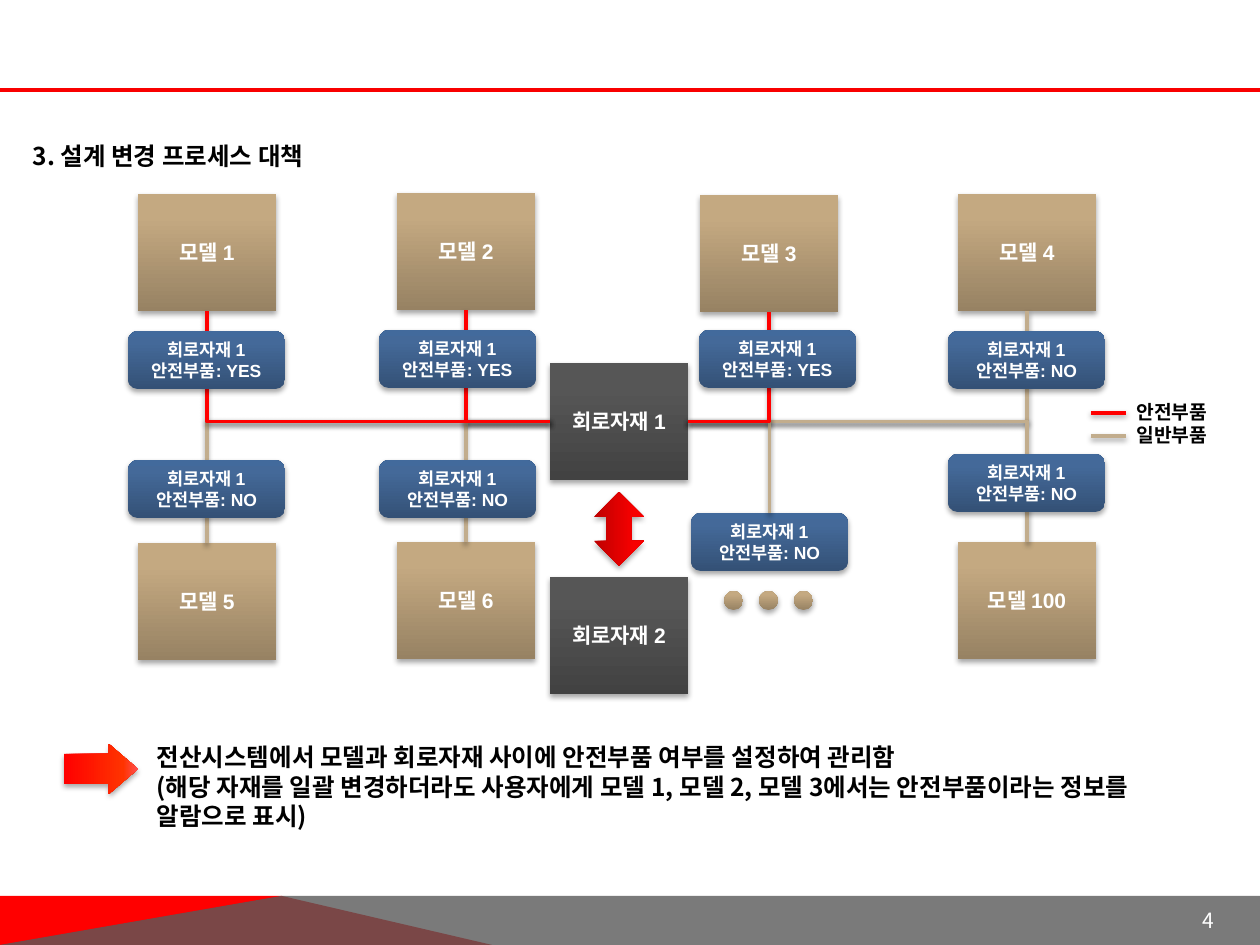
"""Build the design change process slide with its model and circuit material diagram."""
from pptx import Presentation, util as u
from pptx.dml.color import RGBColor
from pptx.enum import shapes, text
from pptx.oxml import ns, parse_xml

SCALE = 914400 / 126
KOREAN, LATIN = "Noto Sans CJK KR", "Arial"
RED = RGBColor(0xFF, 0x00, 0x00)
RULE_RED = RGBColor(0xF9, 0x00, 0x00)
BEIGE = RGBColor(0xC2, 0xAD, 0x8D)
FOOTER_GREY = RGBColor(0x59, 0x59, 0x59)
WHITE = RGBColor(0xFF, 0xFF, 0xFF)
BLACK = RGBColor(0x00, 0x00, 0x00)
TAN_STOPS = (RGBColor(0x97, 0x82, 0x63), RGBColor(0xC4, 0xA9, 0x81), RGBColor(0xC6, 0xAA, 0x80))
GREY_STOPS = (RGBColor(0x42, 0x42, 0x42), RGBColor(0x56, 0x56, 0x56), RGBColor(0x57, 0x57, 0x57))
BLUE_STOPS = (RGBColor(0x34, 0x51, 0x76), RGBColor(0x44, 0x69, 0x99), RGBColor(0x42, 0x6A, 0x9C))
CRIMSON_STOPS = (RGBColor(0xBE, 0x00, 0x00), RGBColor(0xF7, 0x00, 0x00), RGBColor(0xF8, 0x00, 0x00))
ORANGE_STOPS = (RED, RGBColor(0xFF, 0x33, 0x00), RGBColor(0xFF, 0x50, 0x50))
BOX, PILL, DOT = (138, 117), (157, 58), (19, 19)
LEFT, RIGHT, TOP, BOTTOM = 1, 3, 0, 2
MODELS = {
    "모델 1": (138, 194), "모델 2": (397, 193), "모델 3": (700, 195), "모델 4": (958, 194),
    "모델 5": (138, 543), "모델 6": (397, 542), "모델 100": (958, 542),
}
SAFETY_PILLS = [
    (128, 331, "YES"), (379, 330, "YES"), (699, 330, "YES"), (948, 331, "NO"),
    (128, 460, "NO"), (379, 460, "NO"), (948, 454, "NO"),
]


def px(n):
    """Turn a length in px into EMU."""
    return u.Emu(round(n * SCALE))


def set_attrs(obj, formats):
    """Set each named attribute of an object."""
    for name, value in formats.items():
        setattr(obj, name, value)


def place(sp, x, y, w, h):
    """Move and size a shape in px."""
    set_attrs(sp, {"left": px(x), "top": px(y), "width": px(w), "height": px(h)})


def write(sp, lines, size, color, font, bold=True, align=text.PP_ALIGN.LEFT,
          anchor=text.MSO_ANCHOR.TOP):
    """Fill a shape with formatted paragraphs."""
    tf = sp.text_frame
    set_attrs(tf, {"word_wrap": True, "auto_size": text.MSO_AUTO_SIZE.NONE,
                   "vertical_anchor": anchor})
    for i, line in enumerate(lines):
        p = tf.paragraphs[0] if i == 0 else tf.add_paragraph()
        set_attrs(p, {"alignment": align, "space_before": u.Pt(0)})
        r = p.add_run()
        r.text = line
        set_attrs(r.font, {"size": u.Pt(size), "bold": bold, "name": font})
        r.font.color.rgb = color
        r.font._element.append(parse_xml(f'<a:ea {ns.nsdecls("a")} typeface="{KOREAN}"/>'))


def add_shadow(sp, alpha, dist):
    """Give a shape or connector a soft downward shadow."""
    sp._element.spPr.append(parse_xml(
        f'<a:effectLst {ns.nsdecls("a")}><a:outerShdw blurRad="40000" dist="{dist}" '
        f'dir="5400000" rotWithShape="0"><a:srgbClr val="{BLACK}">'
        f'<a:alpha val="{alpha}000"/></a:srgbClr></a:outerShdw></a:effectLst>'))


def add_gradient_shape(slide, kind, x, y, size, stops, angle=270):
    """Add a preset shape with a three-stop gradient and a shadow."""
    sp = slide.shapes.add_shape(kind, px(x), px(y), *map(px, size))
    sp.fill.gradient()
    sp.line.fill.background()
    gs = "".join(f'<a:gs pos="{pos}000"><a:srgbClr val="{color}"/></a:gs>'
                 for pos, color in zip((0, 80, 100), stops))
    spPr = sp._element.spPr
    spPr.replace(spPr.find(ns.qn("a:gradFill")), parse_xml(
        f'<a:gradFill {ns.nsdecls("a")} rotWithShape="1"><a:gsLst>{gs}</a:gsLst>'
        f'<a:lin ang="{angle * 60000}" scaled="0"/></a:gradFill>'))
    add_shadow(sp, 35, 23000)
    return sp


def add_box(slide, x, y, label, stops):
    """Add a labelled square box."""
    sp = add_gradient_shape(slide, shapes.MSO_SHAPE.RECTANGLE, x, y, BOX, stops)
    write(sp, [label], 12, WHITE, LATIN, align=text.PP_ALIGN.CENTER, anchor=text.MSO_ANCHOR.MIDDLE)
    return sp


def add_pill(slide, x, y, answer):
    """Add a rounded label that tells if the material is a safety part."""
    sp = add_gradient_shape(slide, shapes.MSO_SHAPE.ROUNDED_RECTANGLE, x, y, PILL, BLUE_STOPS)
    write(sp, ["회로자재 1", f"안전부품: {answer}"], 10, WHITE, LATIN,
          align=text.PP_ALIGN.CENTER, anchor=text.MSO_ANCHOR.MIDDLE)
    return sp


def add_line(slide, x1, x2, y, color, width=2.0, shadow=True):
    """Add a horizontal line."""
    cx = slide.shapes.add_connector(shapes.MSO_CONNECTOR.STRAIGHT, px(x1), px(y), px(x2), px(y))
    cx.line.color.rgb = color
    cx.line.width = u.Pt(width)
    if shadow:
        add_shadow(cx, 38, 20000)
    else:
        cx._element.spPr.append(parse_xml(f'<a:effectLst {ns.nsdecls("a")}/>'))


def add_elbow(slide, hub, hub_side, target, target_side, color):
    """Join the hub to a target with a one-corner connector."""
    cx = slide.shapes.add_connector(shapes.MSO_CONNECTOR.ELBOW, 0, 0, 0, 0)
    cx.begin_connect(hub, hub_side)
    cx.end_connect(target, target_side)
    cx._element.spPr.find(ns.qn("a:prstGeom")).set("prst", "bentConnector2")
    cx.line.color.rgb = color
    cx.line.width = u.Pt(2)
    add_shadow(cx, 38, 20000)


def add_footer_band(slide, points, color, alpha=100):
    """Add a polygon of the footer."""
    builder = slide.shapes.build_freeform(*points[0], scale=SCALE)
    builder.add_line_segments(points[1:], close=True)
    sp = builder.convert_to_shape()
    sp.fill.solid()
    sp.fill.fore_color.rgb = color
    sp.line.fill.background()
    sp.shadow.inherit = False
    clr = sp._element.spPr.find(ns.qn("a:solidFill"))[0]
    clr.append(parse_xml(f'<a:alpha {ns.nsdecls("a")} val="{alpha}000"/>'))


def add_frame(slide):
    """Add the header rule, footer and page number."""
    add_footer_band(slide, [(0, 945), (0, 896), (282, 896), (492, 945)], RED)
    add_footer_band(slide, [(0, 945), (281, 896), (1260, 896), (1260, 945)], FOOTER_GREY, 80)
    add_line(slide, 0, 1260, 90, RULE_RED, 2.25, shadow=False)
    number = slide.shapes.add_textbox(px(1186), px(898), px(44), px(44))
    set_attrs(number.text_frame, dict.fromkeys(
        ("margin_left", "margin_right", "margin_top", "margin_bottom"), px(1)))
    write(number, ["4"], 12, WHITE, KOREAN, bold=False, align=text.PP_ALIGN.CENTER,
          anchor=text.MSO_ANCHOR.MIDDLE)


def add_diagram(slide):
    """Add the models, materials, their links and labels."""
    hub = add_box(slide, 550, 363, "회로자재 1", GREY_STOPS)
    models = {name: add_box(slide, x, y, name, TAN_STOPS) for name, (x, y) in MODELS.items()}
    more = add_pill(slide, 691, 513, "NO")
    links = [
        (RIGHT, models["모델 4"], BOTTOM, BEIGE), (LEFT, models["모델 5"], TOP, BEIGE),
        (LEFT, models["모델 6"], TOP, BEIGE), (RIGHT, models["모델 100"], TOP, BEIGE),
        (RIGHT, more, TOP, BEIGE), (LEFT, models["모델 2"], BOTTOM, RED),
        (LEFT, models["모델 1"], BOTTOM, RED), (RIGHT, models["모델 3"], BOTTOM, RED),
    ]
    for link in links:
        add_elbow(slide, hub, *link)
    for pill in SAFETY_PILLS:
        add_pill(slide, *pill)
    swap = add_gradient_shape(slide, shapes.MSO_SHAPE.LEFT_RIGHT_ARROW, 582, 504, (74, 50),
                              CRIMSON_STOPS)
    swap.rotation = 90
    add_box(slide, 550, 577, "회로자재 2", GREY_STOPS)
    for i in range(3):
        add_gradient_shape(slide, shapes.MSO_SHAPE.OVAL, 724 + 35 * i, 591, DOT, TAN_STOPS)


def add_legend(slide):
    """Add the line colour legend."""
    names = slide.shapes.add_textbox(px(1124), px(394), px(123), px(59))
    write(names, ["안전부품", "일반부품"], 11, BLACK, KOREAN)
    for y, color in ((413, RED), (436, BEIGE)):
        add_line(slide, 1091, 1126, y, color)


def add_conclusion(slide, body):
    """Add the arrow and the closing statement."""
    arrow = add_gradient_shape(slide, shapes.MSO_SHAPE.RIGHT_ARROW, 64, 744, (74, 50),
                               ORANGE_STOPS, 0)
    arrow.adjustments[0], arrow.adjustments[1] = 0.6, 0.58
    place(body, 144, 736, 1071, 102)
    write(body, ["전산시스템에서 모델과 회로자재 사이에 안전부품 여부를 설정하여 관리함",
                 "(해당 자재를 일괄 변경하더라도 사용자에게 모델 1, 모델 2, 모델 3에서는 "
                 "안전부품이라는 정보를 알람으로 표시)"], 14, BLACK, KOREAN)
    for p in body.text_frame.paragraphs:
        pPr = p._p.get_or_add_pPr()
        pPr.set("marL", "0")
        pPr.set("indent", "0")
        pPr.append(parse_xml(f'<a:buNone {ns.nsdecls("a")}/>'))


def main():
    """Build and save the presentation."""
    prs = Presentation()
    set_attrs(prs, {"slide_width": px(1260), "slide_height": px(945)})
    slide = prs.slides.add_slide(prs.slide_layouts[1])
    title, body = slide.placeholders
    add_frame(slide)
    place(title, 20, 135, 1071, 43)
    write(title, ["3. 설계 변경 프로세스 대책"], 14, BLACK, KOREAN)
    add_diagram(slide)
    add_legend(slide)
    add_conclusion(slide, body)
    prs.save("out.pptx")


if __name__ == "__main__":
    main()
